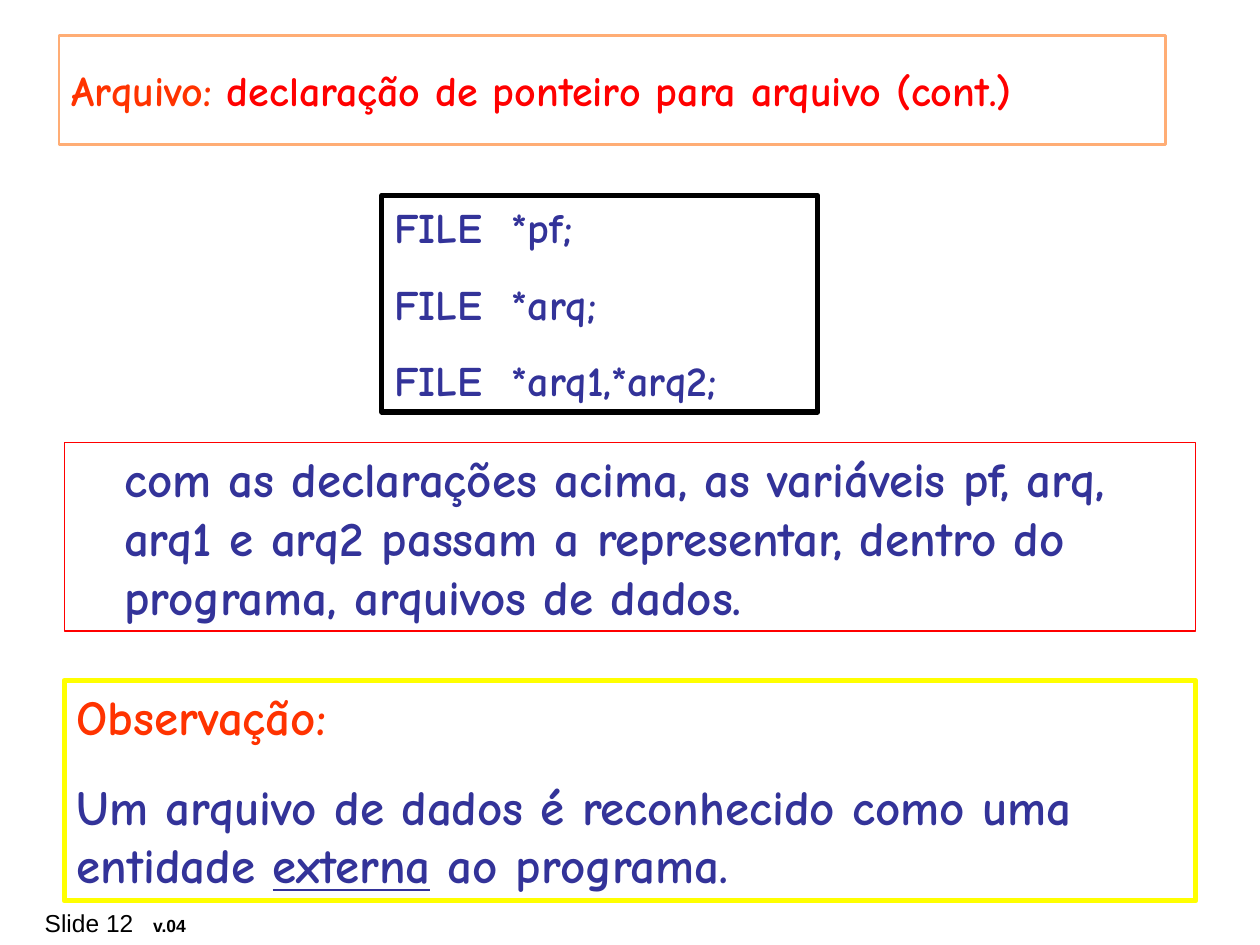
from lxml.etree import SubElement
from pptx import Presentation
from pptx.dml.color import RGBColor
from pptx.enum.shapes import MSO_SHAPE
from pptx.enum.text import MSO_ANCHOR, PP_ALIGN
from pptx.oxml.ns import qn
from pptx.util import Pt

COLORS = {
    "black": "000000",
    "blue": "333399",
    "orange": "FF3300",
    "peach": "FFAD75",
    "red": "FF0000",
    "yellow": "FFFF00",
}
BODY_FONT = "Comic Neue"

BOXES = [
    {
        "place": (33.8, 20.2, 632.2, 62.6), "line": ("peach", 1.5),
        "size": 24, "gap": 0, "indent": 0, "anchor": MSO_ANCHOR.MIDDLE,
        "text": [[("Arquivo: ", "orange"),
                  ("declaração de ponteiro para arquivo (cont.)", "red")]],
    },
    {
        "place": (36.7, 252.7, 646.6, 108), "line": ("red", 0.75),
        "size": 28, "gap": 17.5, "indent": 27, "anchor": MSO_ANCHOR.TOP,
        "text": [[("com as declarações acima, as variáveis pf, arq, arq1 e arq2 "
                   "passam a representar, dentro do programa, arquivos de dados.", "blue")]],
    },
    {
        "place": (218.2, 111.6, 249.1, 123.8), "line": ("black", 3),
        "size": 24, "gap": 15, "indent": 0, "anchor": MSO_ANCHOR.TOP,
        "text": [[("FILE  *pf;", "blue")],
                 [("FILE  *arq;", "blue")],
                 [("FILE  *arq1,*arq2;", "blue")]],
    },
    {
        "place": (36.7, 388.8, 646.6, 126), "line": ("yellow", 3),
        "size": 28, "gap": 17.5, "indent": 0, "anchor": MSO_ANCHOR.TOP,
        "text": [[("Observação:", "orange")],
                 [("Um arquivo de dados é reconhecido como uma entidade ", "blue"),
                  ("externa", "blue", True),
                  (" ao programa.", "blue")]],
    },
]
FOOTER = {"place": (19.4, 515.5, 90, 23.8), "inset": 5, "tab": 62,
          "text": [("Slide 12\t", 14, False), ("v.04", 10, True)]}


def color(name):
    return RGBColor.from_string(COLORS[name])


def add_box(page, preset, place, anchor, left_inset, right_inset):
    box = page.shapes.add_shape(preset, *map(Pt, place))
    box.shadow.inherit = False
    box.fill.background()
    frame = box.text_frame
    frame.word_wrap = True
    frame.vertical_anchor = anchor
    frame.margin_left, frame.margin_right = Pt(left_inset), Pt(right_inset)
    frame.margin_top = frame.margin_bottom = Pt(3.6)
    return box


def add_text_box(page, item):
    box = add_box(page, MSO_SHAPE.RECTANGLE, item["place"], item["anchor"],
                  7.2 + item["indent"], 7.2)
    line_color, line_width = item["line"]
    box.line.color.rgb = color(line_color)
    box.line.width = Pt(line_width)
    for index, spans in enumerate(item["text"]):
        frame = box.text_frame
        para = frame.add_paragraph() if index else frame.paragraphs[0]
        para.alignment = PP_ALIGN.LEFT
        if index:
            para.space_before = Pt(item["gap"])
        para.font.name = BODY_FONT
        para.font.size = Pt(item["size"])
        para.font.bold = True
        for text, shade, *underlined in spans:
            span = para.add_run()
            span.text = text
            span.font.color.rgb = color(shade)
            if underlined:
                span.font.underline = True


def add_footer(page):
    box = add_box(page, MSO_SHAPE.ROUNDED_RECTANGLE, FOOTER["place"],
                  MSO_ANCHOR.MIDDLE, FOOTER["inset"], 0)
    box.line.fill.background()
    para = box.text_frame.paragraphs[0]
    para.alignment = PP_ALIGN.LEFT
    tabs = SubElement(para._p.get_or_add_pPr(), qn("a:tabLst"))
    SubElement(tabs, qn("a:tab"), pos=str(Pt(FOOTER["tab"])), algn="l")
    para.font.name = "Arial"
    para.font.color.rgb = color("black")
    for text, size, bold in FOOTER["text"]:
        span = para.add_run()
        span.text = text
        span.font.size = Pt(size)
        span.font.bold = bold


def main():
    deck = Presentation()
    deck.slide_width, deck.slide_height = Pt(720), Pt(540)
    page = deck.slides.add_slide(deck.slide_layouts[6])
    add_footer(page)
    for item in BOXES:
        add_text_box(page, item)
    deck.save("out.pptx")


if __name__ == "__main__":
    main()
